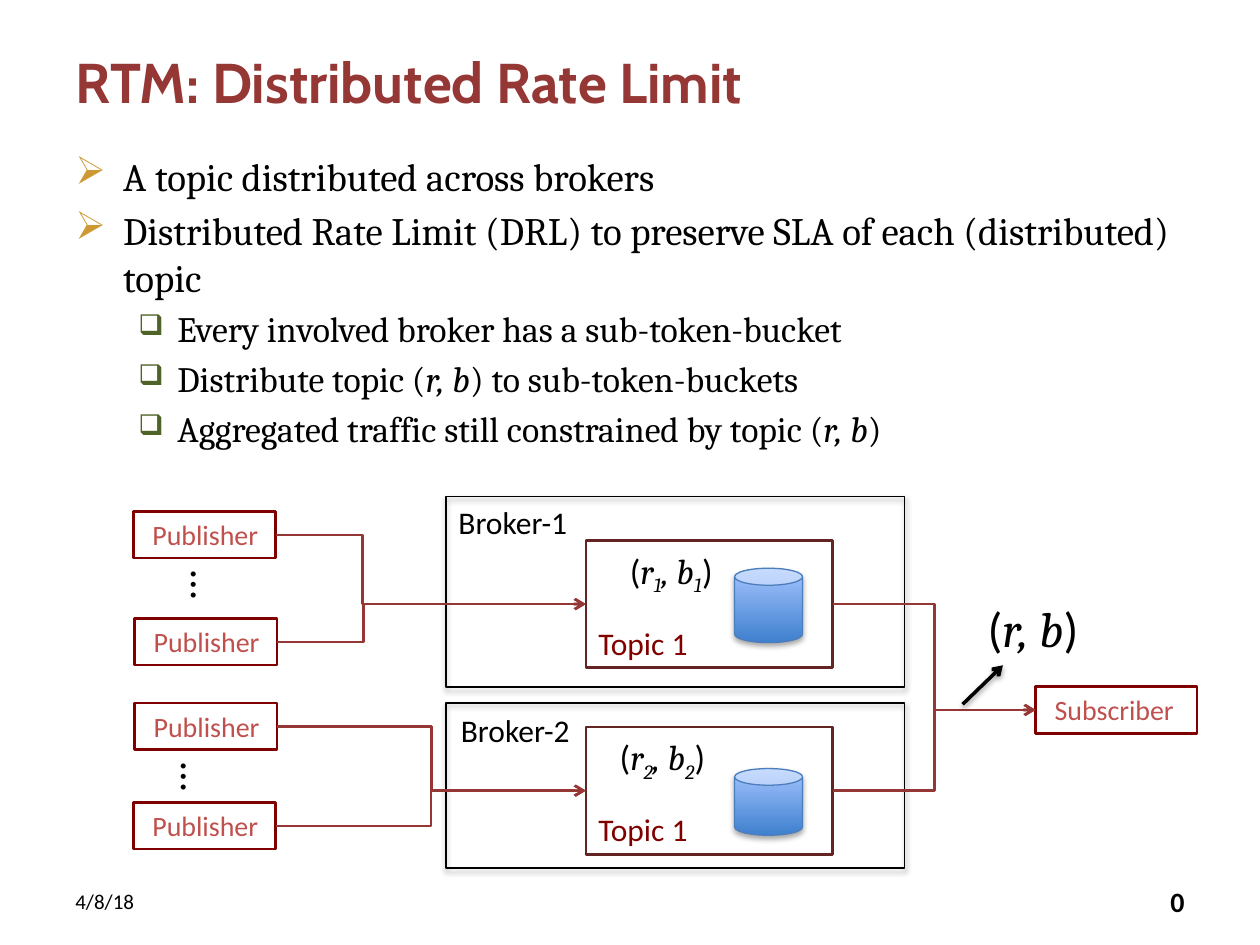
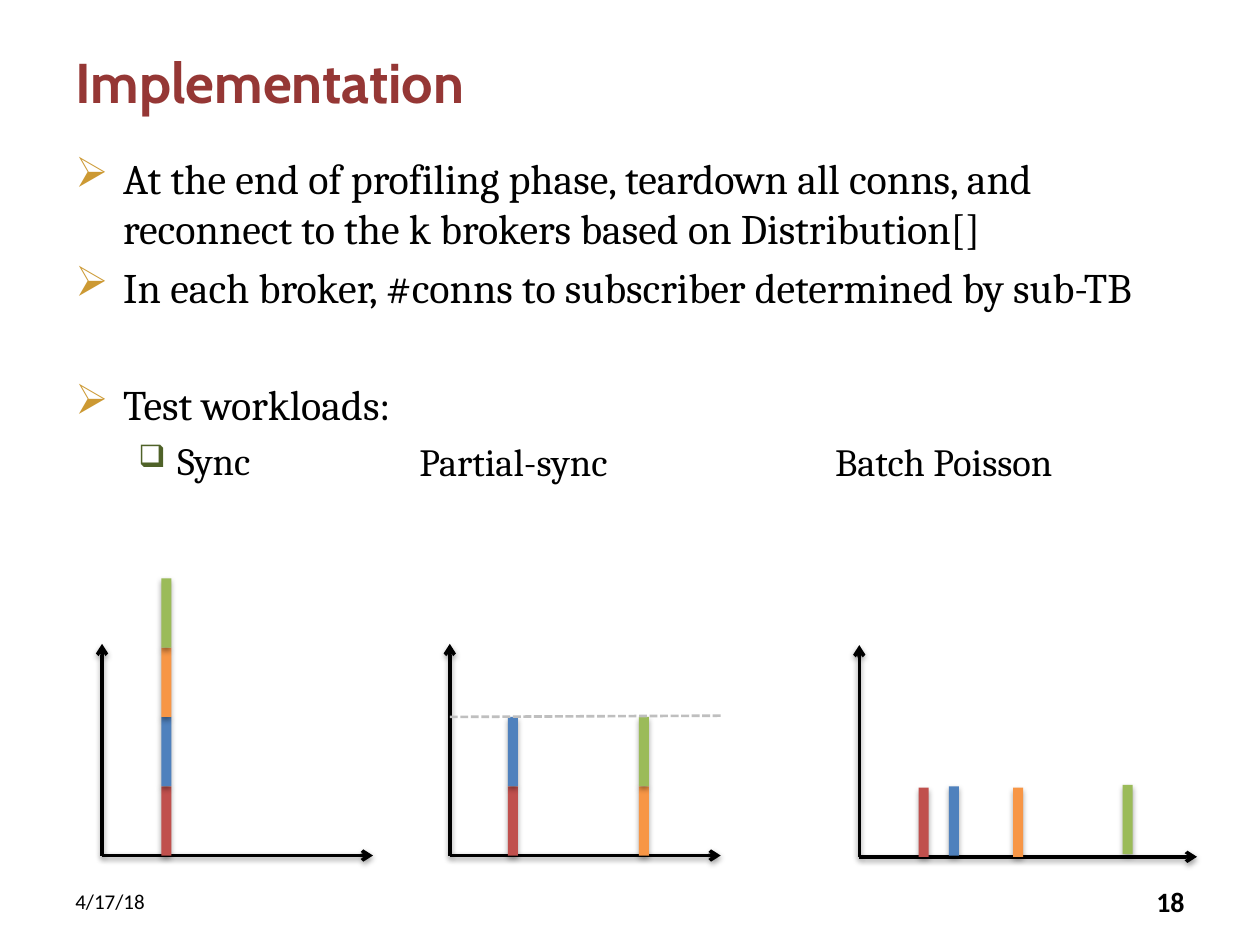
import pptx
import pptx.util
import pptx.dml.color
import pptx.enum.dml
import pptx.enum.shapes
import pptx.enum.text
import pptx.oxml
import pptx.oxml.ns
from lxml import etree

PX = 9144  # EMU in one px, 100 px to the inch
HEAD, SANS, SERIF = "Cabin", "Calibri", "Cambria"
BLACK, WINE, MAROON, BROWN = "000000", "953735", "800000", "632523"
RED, BLUE, ORANGE, GREEN, GREY = "C0504D", "4F81BD", "F79646", "9BBB59", "BFBFBF"
# Bullet levels: sign, colour, size in percent, margin and hang in px
BULLETS = [("➢", "CC9933", 100, 38, 38), ("❑", "4F6228", 80, 81, 31)]
FORM = pptx.enum.shapes.MSO_SHAPE
LINK = pptx.enum.shapes.MSO_CONNECTOR
ALIGN = pptx.enum.text.PP_ALIGN
ANCHOR = pptx.enum.text.MSO_ANCHOR
DOWN = 5400000


def color(code):
    return pptx.dml.color.RGBColor.from_string(code)


def node(parent, tag, **attrs):
    """Add a drawing element under parent."""
    child = etree.SubElement(parent, pptx.oxml.ns.qn("a:" + tag))
    for name, value in attrs.items():
        child.set(name, str(value))
    return child


class Deck:
    def __init__(self):
        self.show = pptx.Presentation()
        self.show.slide_width = 1000 * PX
        self.show.slide_height = 750 * PX
        self.slide = None

    # Slide frame: title, date and page number
    def page(self, title, date, number):
        self.slide = self.show.slides.add_slide(self.show.slide_layouts[6])
        mid = ANCHOR.MIDDLE
        self.label(50, 30, 900, 69, title, 32, HEAD, WINE, bold=True, anchor=mid)
        self.label(50, 695, 233, 40, date, 12, anchor=mid)
        self.label(717, 695, 233, 40, number, 16, bold=True, anchor=mid,
                   align=ALIGN.RIGHT)

    # Text
    def words(self, para, text, size, face=SANS, ink=BLACK, bold=False):
        """Text is a string, or a list of (piece, marks): i italic, s subscript."""
        font = para.font
        font.size, font.name, font.bold = pptx.util.Pt(size), face, bold
        font.color.rgb = color(ink)
        for piece, marks in [(text, "")] if isinstance(text, str) else text:
            run = para.add_run()
            run.text = piece
            if "i" in marks:
                run.font.italic = True
                run.font.name = SERIF
            if "s" in marks:
                run.font._element.set("baseline", "-25000")

    def label(self, x, y, w, h, text, size, face=SANS, ink=BLACK, bold=False,
              anchor=ANCHOR.TOP, align=ALIGN.LEFT, turn=0):
        box = self.slide.shapes.add_textbox(x * PX, y * PX, w * PX, h * PX)
        box.rotation = turn
        frame = box.text_frame
        frame.word_wrap, frame.vertical_anchor = True, anchor
        para = frame.paragraphs[0]
        para.alignment = align
        self.words(para, text, size, face, ink, bold)

    def body(self, h, sizes, items):
        """Items are (level, text, extra points above)."""
        box = self.slide.shapes.add_textbox(50 * PX, 116 * PX, 900 * PX, h * PX)
        frame = box.text_frame
        frame.word_wrap = True
        for i, (level, text, extra) in enumerate(items):
            para = frame.add_paragraph() if i else frame.paragraphs[0]
            sign, ink, scale, margin, hang = BULLETS[level]
            para.level = level
            props = para._p.get_or_add_pPr()
            props.set("marL", str(margin * PX))
            props.set("indent", str(-hang * PX))
            node(node(props, "buClr"), "srgbClr", val=ink)
            node(props, "buSzPct", val=scale * 1000)
            node(props, "buChar", char=sign)
            size = sizes[level]
            para.space_before = pptx.util.Pt(size * 0.2 + extra)
            self.words(para, text, size, SERIF)

    # Shapes
    def shade(self, effects, alpha, drop):
        cast = node(effects, "outerShdw", blurRad=40000, dist=drop, dir=DOWN,
                    rotWithShape=0)
        node(node(cast, "srgbClr", val=BLACK), "alpha", val=alpha * 1000)

    def shape(self, x, y, w, h, fill=None, edge=None, width=1, shadow=False,
              form=FORM.RECTANGLE):
        item = self.slide.shapes.add_shape(form, x * PX, y * PX, w * PX, h * PX)
        if fill:
            item.fill.solid()
            item.fill.fore_color.rgb = color(fill)
        else:
            item.fill.background()
        if edge:
            item.line.color.rgb = color(edge)
            item.line.width = pptx.util.Pt(width)
        else:
            item.line.fill.background()
        item.shadow.inherit = False
        if shadow:
            self.shade(item._element.spPr.find(pptx.oxml.ns.qn("a:effectLst")), 35, 23000)
        return item

    def block(self, x, y, w, h, text, size, ink, edge, left=10, anchor=ANCHOR.TOP):
        """A framed box with its text at the left."""
        item = self.shape(x, y, w, h, edge=edge, width=1.5)
        frame = item.text_frame
        frame.word_wrap, frame.vertical_anchor = True, anchor
        frame.margin_left = left * PX
        frame.paragraphs[0].alignment = ALIGN.LEFT
        self.words(frame.paragraphs[0], text, size, ink=ink)
        return item

    def store(self, x, y, w, h):
        can = self.shape(x, y, w, h, edge="4B7EBC", width=0.75, shadow=True,
                         form=FORM.CAN)
        can.fill.gradient()
        can.fill.gradient_angle = 90
        for stop, ink, place in zip(can.fill.gradient_stops, ("3F80CE", "A4C4FF"), (0, 1)):
            stop.color.rgb = color(ink)
            stop.position = place

    # Lines
    def line(self, start, end, ink=BLACK, width=2, arrow=True, shadow=True,
             dash=None, kind=LINK.STRAIGHT):
        item = self.slide.shapes.add_connector(kind, *[n * PX for n in (*start, *end)])
        item.line.color.rgb = color(ink)
        item.line.width = pptx.util.Pt(width)
        if dash:
            item.line.dash_style = dash
        if arrow:
            node(item.get_or_add_ln(), "tailEnd", type="arrow")
        effects = node(item._element.spPr, "effectLst")
        if shadow:
            self.shade(effects, 38, 20000)
        return item

    def elbow(self, source, target, bend=0.5):
        """Join the right side of source to the left side of target."""
        item = self.line((0, 0), (1, 1), WINE, 1.5, shadow=False, kind=LINK.ELBOW)
        item.begin_connect(source, 3)
        item.end_connect(target, 1)
        guides = item._element.spPr.find(".//" + pptx.oxml.ns.qn("a:avLst"))
        node(guides, "gd", name="adj1", fmla=f"val {round(bend * 100000)}")

    def axes(self, x, base, w):
        self.line((x, base), (x + w, base))
        self.line((x, base), (x, base - 168))

    def bar(self, x, base, *inks):
        """Stack one block for each colour."""
        for i, ink in enumerate(inks, 1):
            self.shape(x, base - 55 * i, 8, 55, fill=ink, shadow=True)


def limit(deck):
    deck.page("RTM: Distributed Rate Limit", "4/8/18", "0")
    pair = ("r, b", "i")
    deck.body(240, (22.2, 20.4), [
        (0, "A topic distributed across brokers", 0),
        (0, "Distributed Rate Limit (DRL) to preserve SLA of each (distributed) topic", 0),
        (1, "Every involved broker has a sub-token-bucket", 0),
        (1, [("Distribute topic (", ""), pair, (") to sub-token-buckets", "")], 0),
        (1, [("Aggregated traffic still constrained by topic (", ""), pair, (")", "")], 0),
    ])

    # Brokers: top, height, name place, topic top, rate place, store, publishers, dots, bend
    sub = deck.block(822, 545, 128, 37, "Subscriber", 16, RED, MAROON, left=15)
    brokers = [
        (394, 151, (354, 394), 429, (490, 431), (451, 59),
         ((106, 406), (107, 491)), (165, 439), 0.28),
        (558, 131, (356, 559), 577, (482, 579), (610, 53),
         ((107, 558), (106, 637)), (157, 591), 0.5),
    ]
    for i, (top, h, name, inner, rate, can, pubs, dots, bend) in enumerate(brokers, 1):
        deck.shape(354, top, 364, h, edge=BLACK, shadow=True)
        deck.label(*name, 134, 40, f"Broker-{i}", 18)
        topic = deck.block(465, inner, 196, 101, "Topic 1", 18, MAROON, BROWN,
                           anchor=ANCHOR.BOTTOM)
        deck.store(583, can[0], 54, can[1])
        deck.label(*rate, 109, 44, [("(", ""), ("r", "i"), (str(i), "is"), (", b", "i"),
                                    (str(i), "is"), (")", "")], 20)
        for x, y in pubs:
            pub = deck.block(x, y, 113, 37, "Publisher", 16, RED, MAROON, left=15)
            deck.elbow(pub, topic, bend)
        deck.label(dots[0] - 21, dots[1], 42, 50, "…", 24, turn=90)
        deck.elbow(topic, sub)

    # Total rate
    deck.label(774, 470, 96, 57, [("(", ""), pair, (")", "")], 28)
    deck.line((764, 559), (796, 528))


def build(deck):
    deck.page("Implementation", "4/17/18", "18")
    deck.body(335, (24, 22), [
        (0, "At the end of profiling phase, teardown all conns, and reconnect to "
            "the k brokers based on Distribution[]", 0),
        (0, "In each broker, #conns to subscriber determined by sub-TB", 0),
        (0, "Test workloads:", 33.5),
        (1, "Sync", 0),
    ])
    deck.label(323, 343, 200, 47, "Partial-sync", 22, SERIF)
    deck.label(653, 343, 250, 47, "Batch Poisson", 22, SERIF)

    # Sync
    deck.axes(81, 679, 215)
    deck.bar(128, 679, RED, BLUE, ORANGE, GREEN)

    # Partial sync
    deck.axes(357, 679, 215)
    deck.bar(403, 679, RED, BLUE)
    deck.bar(507, 679, ORANGE, GREEN)
    deck.line((357, 569), (572, 568), GREY, 1.5, arrow=False, shadow=False,
              dash=pptx.enum.dml.MSO_LINE.SQUARE_DOT)

    # Batch
    deck.axes(682, 680, 268)
    for x, base, ink in ((729, 680, RED), (753, 679, BLUE), (804, 680, ORANGE),
                         (891, 678, GREEN)):
        deck.bar(x, base, ink)


def main():
    deck = Deck()
    limit(deck)
    build(deck)
    deck.show.save("out.pptx")


if __name__ == "__main__":
    main()
